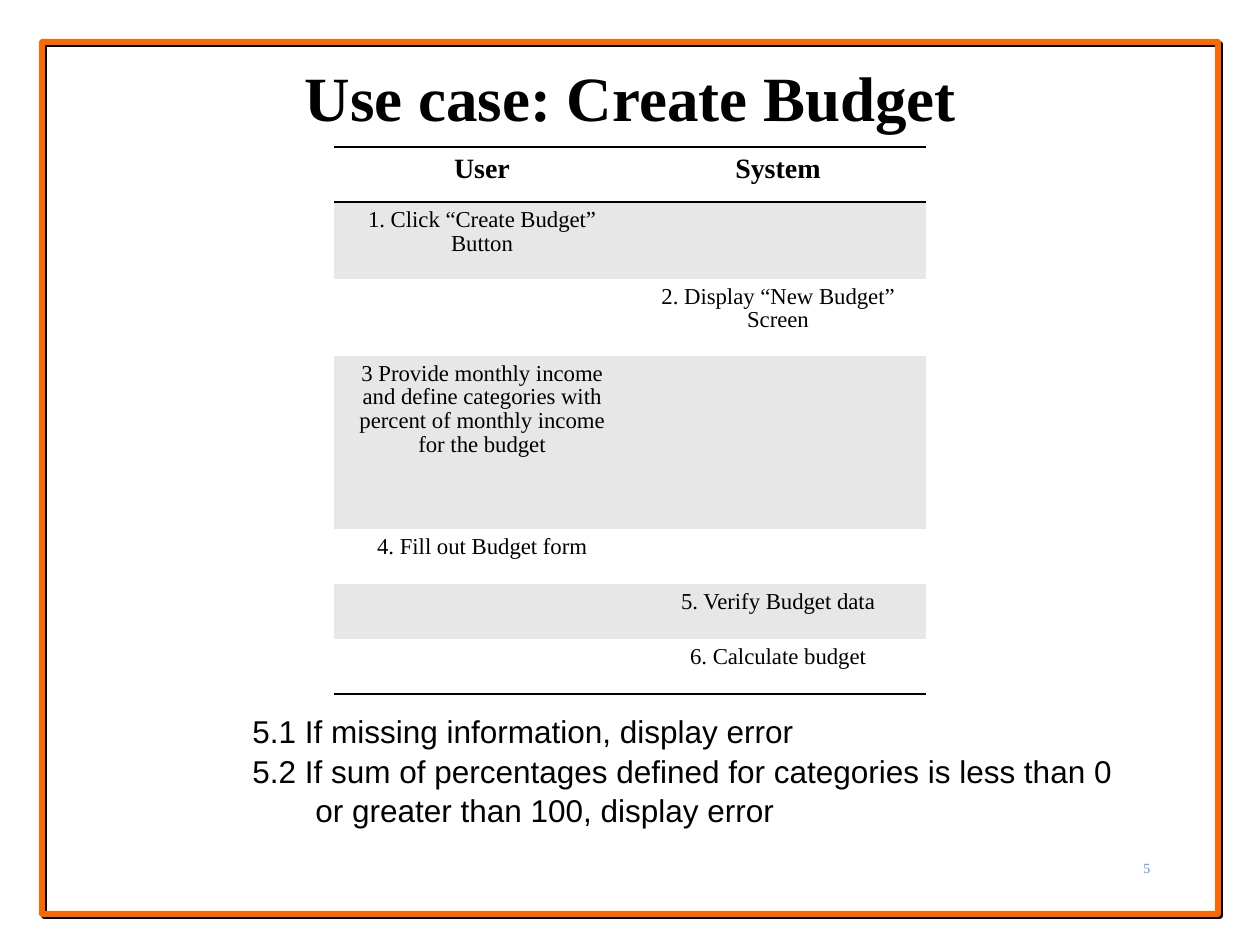
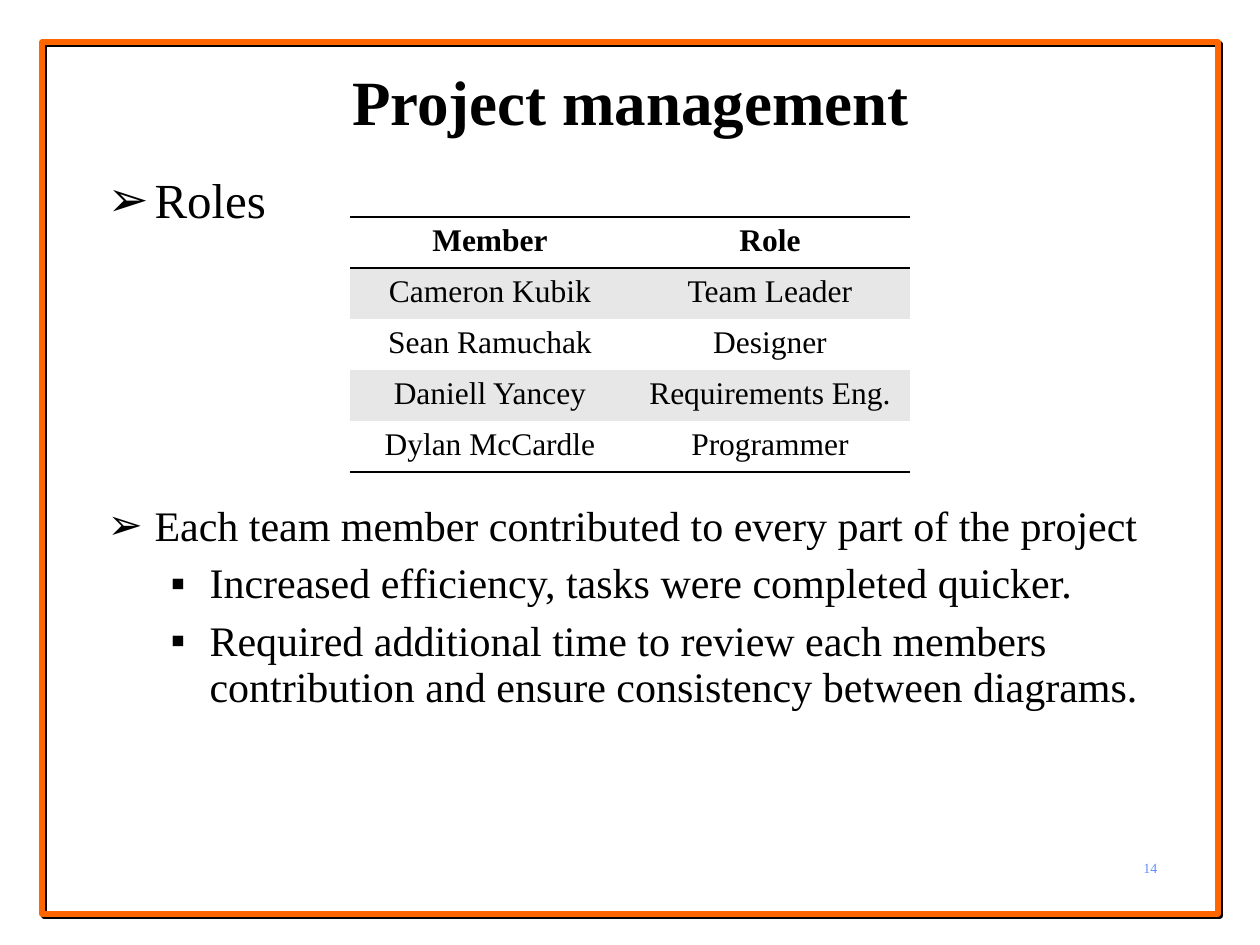
"""Build two project slides: a use case table and the team's roles."""
from lxml import etree
from pptx import Presentation
from pptx.dml.color import RGBColor
from pptx.enum.shapes import MSO_SHAPE
from pptx.enum.text import MSO_ANCHOR, MSO_AUTO_SIZE, PP_ALIGN
from pptx.oxml.ns import qn
from pptx.util import Emu, Pt

PX = 914400 / 126
BLACK = RGBColor(0x00, 0x00, 0x00)
WHITE = RGBColor(0xFF, 0xFF, 0xFF)
ORANGE = RGBColor(0xFF, 0x66, 0x00)
BAND = RGBColor(0xE7, 0xE7, 0xE7)
NUMBER_BLUE = RGBColor(0x61, 0x8F, 0xFD)
SERIF, SANS = "Times New Roman", "Arial"
RECTANGLE = MSO_SHAPE.RECTANGLE
CENTER, LEFT = PP_ALIGN.CENTER, PP_ALIGN.LEFT
MIDDLE, TOP = MSO_ANCHOR.MIDDLE, MSO_ANCHOR.TOP
NO_AUTOFIT = MSO_AUTO_SIZE.NONE
PLAIN_TABLE = "{2D5ABB26-0587-4C30-8999-92F81FD0307C}"
RULE_WIDTH = Pt(0.96)
TITLE_ONLY, TITLE_AND_CONTENT = 5, 1
BULLETS = {0: ("➢", 47, -47), 1: ("▪", 102, -39)}


def px(length):
    return Emu(round(length * PX))


def assign(target, values):
    for name, value in values.items():
        setattr(target, name, value)


class Deck:
    """Hold the shared style and the slide being built."""

    def __init__(self):
        self.prs = Presentation()
        assign(self.prs, {"slide_width": px(1260), "slide_height": px(945)})
        self.slide = None

    def place(self, shape, left, top, width, height):
        assign(shape, {"left": px(left), "top": px(top),
                       "width": px(width), "height": px(height)})

    def add_words(self, paragraph, text, size, font=SERIF, color=BLACK,
                  bold=False, **layout):
        run = paragraph.add_run()
        run.text = text
        assign(run.font, {"name": font, "size": Pt(size), "bold": bold})
        run.font.color.rgb = color
        assign(paragraph, layout)

    def indent(self, paragraph, margin, first=0):
        properties = paragraph._p.get_or_add_pPr()
        properties.set("marL", str(px(margin)))
        properties.set("indent", str(px(first)))
        return properties

    def start(self, layout, title, number, title_spacing=1.0):
        self.slide = self.prs.slides.add_slide(self.prs.slide_layouts[layout])
        self.text([number], 1131, 853, 84, 29, 8, color=NUMBER_BLUE)
        self.frame(44, BLACK)
        self.frame(42, ORANGE)
        heading = self.slide.shapes.title
        self.place(heading, 95, 53, 1071, 95)
        assign(heading.text_frame, {"vertical_anchor": MIDDLE, "word_wrap": True,
                                    "auto_size": NO_AUTOFIT})
        self.add_words(heading.text_frame.paragraphs[0], title, 36, bold=True,
                       alignment=CENTER, line_spacing=title_spacing)

    def frame(self, offset, color):
        border = self.slide.shapes.add_shape(
            RECTANGLE, px(offset), px(offset), px(1176), px(872))
        border.shadow.inherit = False
        border.fill.background()
        border.line.color.rgb = color
        border.line.width = Pt(3)

    def text(self, lines, left, top, width, height, size, font=SERIF,
             color=BLACK, spacing=1.0):
        box = self.slide.shapes.add_textbox(
            px(left), px(top), px(width), px(height)).text_frame
        box.word_wrap = True
        paragraphs = [box.paragraphs[0]] + [box.add_paragraph() for _ in lines[1:]]
        for paragraph, line in zip(paragraphs, lines):
            self.add_words(paragraph, line, size, font, color, line_spacing=spacing)
        return paragraphs

    def bullets(self, items, left, top, width, height):
        body = self.slide.placeholders[1]
        self.place(body, left, top, width, height)
        frame = body.text_frame
        assign(frame, {"vertical_anchor": TOP, "word_wrap": True,
                       "auto_size": NO_AUTOFIT})
        for index, (text, level, size, before) in enumerate(items):
            paragraph = frame.add_paragraph() if index else frame.paragraphs[0]
            self.add_words(paragraph, text, size, level=level, alignment=LEFT,
                           line_spacing=0.93, space_before=Pt(before))
            mark, margin, first = BULLETS[level]
            properties = self.indent(paragraph, margin, first)
            color = etree.SubElement(properties, qn("a:buClr"))
            etree.SubElement(color, qn("a:srgbClr"), val=str(BLACK))
            etree.SubElement(properties, qn("a:buChar"), char=mark)

    def rule(self, cell, side):
        line = etree.Element(qn(f"a:{side}"), w=str(RULE_WIDTH))
        fill = etree.SubElement(line, qn("a:solidFill"))
        etree.SubElement(fill, qn("a:srgbClr"), val=str(BLACK))
        cell._tc.get_or_add_tcPr().insert(0, line)

    def table(self, rows, left, top, column, heights, head_size, size, spacing=1.0):
        columns = len(rows[0])
        table = self.slide.shapes.add_table(
            len(rows), columns, px(left), px(top),
            px(column * columns), px(sum(heights))).table
        assign(table, {"first_row": False, "horz_banding": False})
        table._tbl.tblPr.find(qn("a:tableStyleId")).text = PLAIN_TABLE
        for table_column in table.columns:
            table_column.width = px(column)
        for r, (row, height) in enumerate(zip(rows, heights)):
            table.rows[r].height = px(height)
            head = r == 0
            for c, value in enumerate(row):
                cell = table.cell(r, c)
                cell.fill.solid()
                cell.fill.fore_color.rgb = BAND if r % 2 else WHITE
                if value:
                    self.add_words(cell.text_frame.paragraphs[0], value,
                                   head_size if head else size, bold=head,
                                   alignment=CENTER,
                                   line_spacing=1.0 if head else spacing)
                if head or r == len(rows) - 1:
                    self.rule(cell, "lnB")
                if head:
                    self.rule(cell, "lnT")


def create_budget(deck):
    deck.start(TITLE_ONLY, "Use case: Create Budget", "5", title_spacing=0.95)
    steps = [
        ("User", "System"),
        ("1. Click “Create Budget” Button", ""),
        ("", "2. Display “New Budget” Screen"),
        ("3 Provide monthly income and define categories with percent of "
         "monthly income for the budget", ""),
        ("4. Fill out Budget form", ""),
        ("", "5. Verify Budget data"),
        ("", "6. Calculate budget"),
    ]
    deck.table(steps, 334, 147, 296, [55, 77, 77, 173, 55, 55, 55], 16, 13,
               spacing=0.95)
    exceptions = deck.text(
        ["5.1 If missing information, display error",
         "5.2 If sum of percentages defined for categories is less than 0",
         "or greater than 100, display error"],
        240, 704, 924, 164, 18, SANS, spacing=1.05)
    deck.indent(exceptions[-1], 63)


def project_management(deck):
    deck.start(TITLE_AND_CONTENT, "Project management", "14")
    deck.bullets([
        ("Roles", 0, 28, 7),
        ("Each team member contributed to every part of the project", 0, 24, 157),
        ("Increased efficiency, tasks were completed quicker.", 1, 24, 6),
        ("Required additional time to review each members contribution and "
         "ensure consistency between diagrams.", 1, 24, 6),
    ], 95, 168, 1071, 609)
    team = [
        ("Member", "Role"),
        ("Cameron Kubik", "Team Leader"),
        ("Sean Ramuchak", "Designer"),
        ("Daniell Yancey", "Requirements Eng."),
        ("Dylan McCardle", "Programmer"),
    ]
    deck.table(team, 350, 217, 280, [51] * len(team), 18, 18)


def main():
    deck = Deck()
    create_budget(deck)
    project_management(deck)
    deck.prs.save("out.pptx")


if __name__ == "__main__":
    main()
